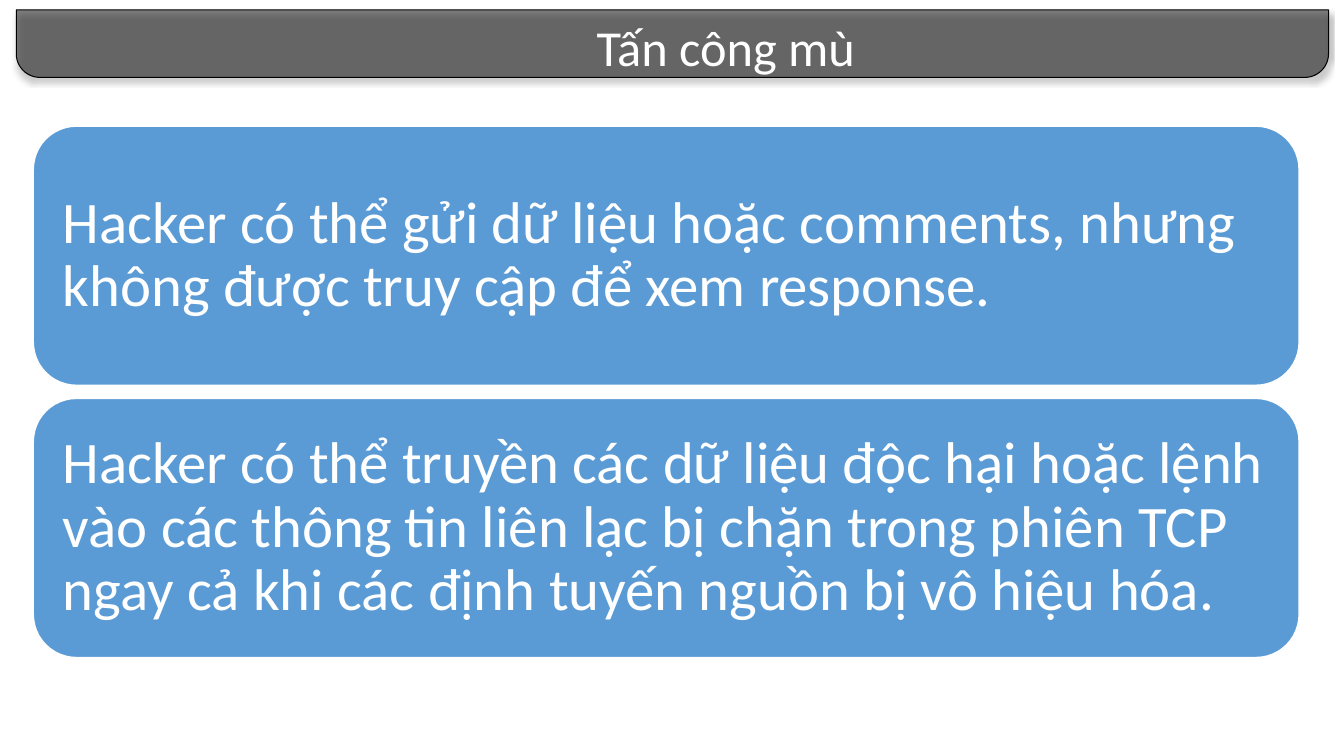
from lxml import etree
from pptx import Presentation
from pptx.dml.color import RGBColor
from pptx.enum.shapes import MSO_SHAPE
from pptx.enum.text import MSO_ANCHOR, MSO_AUTO_SIZE, PP_ALIGN
from pptx.oxml import parse_xml
from pptx.oxml.ns import qn
from pptx.util import Cm, Pt

TITLE = "Tấn công mù"
CARDS = [
    "Hacker có thể gửi dữ liệu hoặc comments, nhưng không được truy cập "
    "để xem response.",
    "Hacker có thể truyền các dữ liệu độc hại hoặc lệnh vào các thông tin "
    "liên lạc bị chặn trong phiên TCP ngay cả khi các định tuyến nguồn bị "
    "vô hiệu hóa.",
]
COLORS = {"bar": "000000", "card": "5B9BD5", "light": "FFFFFF"}
FONT = "Calibri"
BAR_SHAPE = MSO_SHAPE.ROUND_2_SAME_RECTANGLE
CARD_SHAPE = MSO_SHAPE.ROUNDED_RECTANGLE
TOP, MIDDLE = MSO_ANCHOR.TOP, MSO_ANCHOR.MIDDLE
LEFT, CENTER = PP_ALIGN.LEFT, PP_ALIGN.CENTER
NO_FIT = MSO_AUTO_SIZE.NONE

# Card layout in centimetres
CARD_LEFT, CARD_TOP = 0.84, 3.18
CARD_WIDTH, CARD_HEIGHT, CARD_GAP = 31.9, 6.53, 0.33
CARD_INSET = 0.43

BAR_SHADOW = (
    '<a:effectLst xmlns:a="http://schemas.openxmlformats.org/drawingml/2006/main">'
    '<a:outerShdw blurRad="50800" dist="38100" dir="5400000" rotWithShape="0">'
    '<a:srgbClr val="000000"><a:alpha val="40000"/></a:srgbClr>'
    '</a:outerShdw></a:effectLst>'
)


def color(name):
    return RGBColor.from_string(COLORS[name])


def add_box(page, kind, place, fill, line, line_width):
    box = page.shapes.add_shape(kind, *(Cm(value) for value in place))
    box.fill.solid()
    box.fill.fore_color.rgb = color(fill)
    box.line.color.rgb = color(line)
    box.line.width = Pt(line_width)
    return box


def write(box, text, size, align, anchor, inset_x, inset_y, spacing):
    frame = box.text_frame
    frame.word_wrap = True
    frame.auto_size = NO_FIT
    frame.vertical_anchor = anchor
    frame.margin_left = frame.margin_right = Cm(inset_x)
    frame.margin_top = frame.margin_bottom = Cm(inset_y)
    para = frame.paragraphs[0]
    para.alignment = align
    para.line_spacing = spacing
    span = para.add_run()
    span.text = text
    span.font.name = FONT
    span.font.size = Pt(size)
    span.font.color.rgb = color("light")


deck = Presentation()
deck.slide_width, deck.slide_height = Cm(33.87), Cm(19.05)
page = deck.slides.add_slide(deck.slide_layouts[5])

# Title bar: half-transparent, rounded at the bottom, with a soft shadow
bar = add_box(page, BAR_SHAPE, (0.41, 0.25, 33.07, 1.7), "bar", "bar", 0.75)
bar.rotation = 180
bar.adjustments[0] = 0.35
bar_fill = bar.fill.fore_color._xFill.find(qn("a:srgbClr"))
etree.SubElement(bar_fill, qn("a:alpha")).set("val", "50000")
bar._element.spPr.append(parse_xml(BAR_SHADOW))

# Title in front of the bar
title = page.shapes.title
title.left, title.top = Cm(8.36), Cm(0.28)
title.width, title.height = Cm(19.86), Cm(1.8)
write(title, TITLE, 36, CENTER, TOP, 0.25, 0.13, 1.0)
title._element.addprevious(bar._element)

# Stacked cards
for row, text in enumerate(CARDS):
    top = CARD_TOP + row * (CARD_HEIGHT + CARD_GAP)
    place = (CARD_LEFT, top, CARD_WIDTH, CARD_HEIGHT)
    card = add_box(page, CARD_SHAPE, place, "card", "light", 1)
    card.shadow.inherit = False
    write(card, text, 42, LEFT, MIDDLE, CARD_INSET, CARD_INSET, 0.9)

deck.save("out.pptx")
